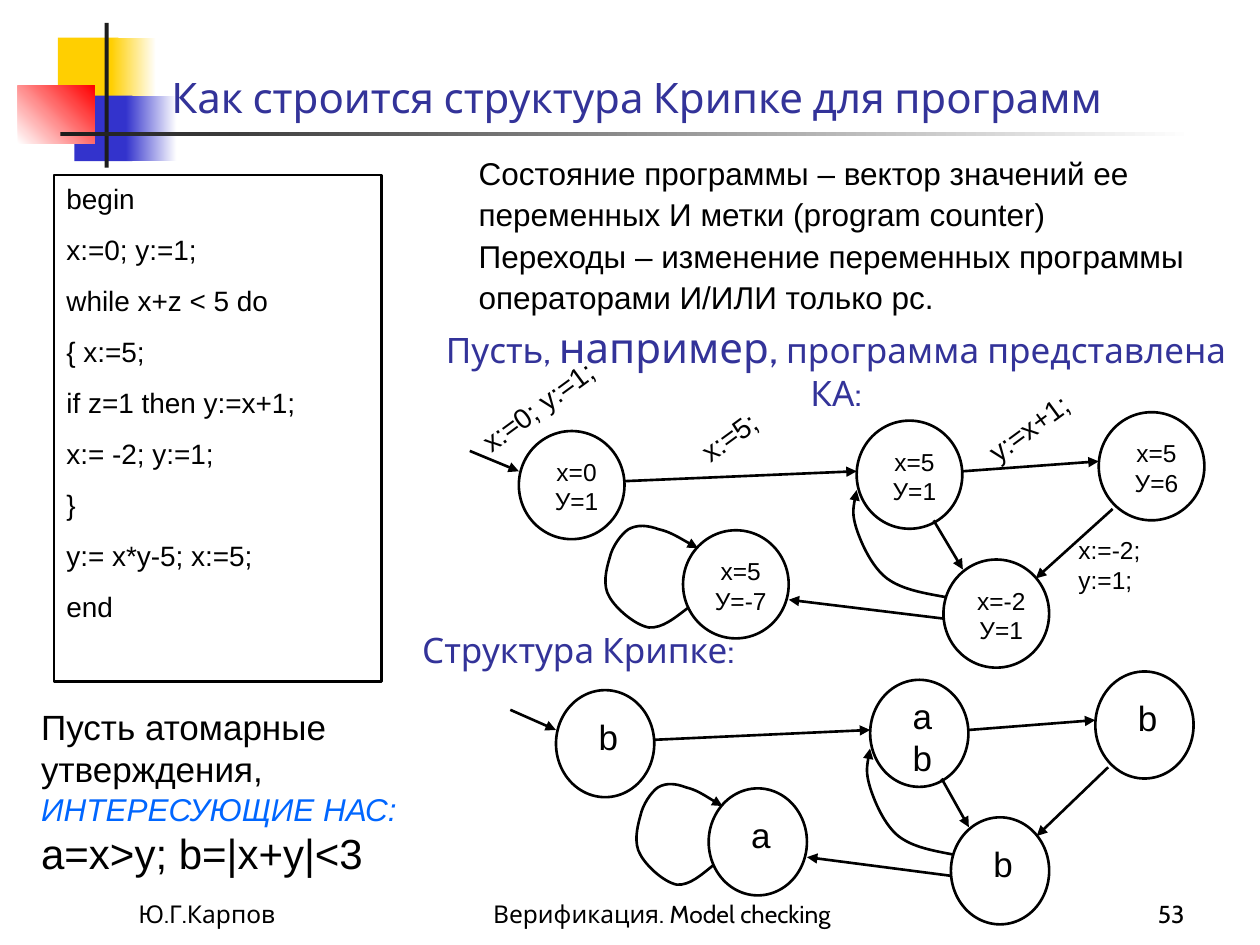
from lxml.etree import SubElement
from pptx import Presentation
from pptx.dml.color import RGBColor
from pptx.enum.shapes import MSO_CONNECTOR, MSO_SHAPE
from pptx.enum.text import MSO_ANCHOR, MSO_AUTO_SIZE, PP_ALIGN
from pptx.oxml.ns import qn
from pptx.util import Cm, Pt

BLACK, NAVY, BLUE = "000000", "333399", "0066FF"
STATE_SIZE = (2.13, 2.18)
STATES = [(10.46, 8.69), (13.77, 10.69), (19.02, 11.28), (22.15, 8.31), (17.27, 8.48)]
TRANSITIONS = [
    (12.6, 9.7, 17.27, 9.5), (19.41, 9.5, 22.15, 9.3),
    (18.82, 10.49, 19.41, 11.48), (22.43, 10.26, 20.88, 11.66),
    (19.02, 12.47, 15.9, 12.09), (9.47, 9.09, 10.46, 9.5),
]
SELF_LOOP = [
    (13.89, 12.24), (13.61, 12.45), (13.36, 12.67), (13.08, 12.65),
    (12.8, 12.6), (12.42, 12.27), (12.29, 12.04),
    (12.14, 11.81), (12.22, 11.48), (12.29, 11.25),
    (12.34, 11.02), (12.52, 10.77), (12.67, 10.67),
    (12.85, 10.57), (13.06, 10.59), (13.28, 10.67),
    (13.51, 10.72), (13.79, 10.9), (14.07, 11.05),
]
RETURN_ARC = [
    (19.08, 12.04), (18.64, 11.96), (18.19, 11.89), (17.88, 11.66),
    (17.58, 11.43), (17.37, 10.97), (17.27, 10.67),
    (17.17, 10.36), (17.22, 10.11), (17.27, 9.88),
]


def color(code):
    return RGBColor.from_string(code)


class Deck:
    font, accent_font, stroke = "Arial", "Cabin", Pt(1.5)

    def __init__(self):
        self.presentation = Presentation()
        self.presentation.slide_width, self.presentation.slide_height = Cm(25.4), Cm(19.05)
        self.slide = self.presentation.slides.add_slide(self.presentation.slide_layouts[5])
        self.shapes = self.slide.shapes

    def begin_group(self):
        self.shapes = self.slide.shapes.add_group_shape().shapes

    def end_group(self):
        self.shapes = self.slide.shapes

    def set_text(self, holder, paragraphs, size, ink=BLACK, font=None, align=PP_ALIGN.LEFT,
                 anchor=MSO_ANCHOR.TOP, wrap=True, before=0, spacing=None):
        frame = holder.text_frame
        frame.word_wrap, frame.auto_size = wrap, MSO_AUTO_SIZE.NONE
        frame.vertical_anchor = anchor
        for index, content in enumerate(paragraphs):
            paragraph = frame.add_paragraph() if index else frame.paragraphs[0]
            paragraph.alignment = align
            if index:
                paragraph.space_before = Pt(before)
            if spacing:
                paragraph.line_spacing = spacing
            paragraph.font.name = font or self.font
            if isinstance(content, str):
                paragraph.text = content
                paragraph.font.size = Pt(size)
                paragraph.font.color.rgb = color(ink)
            else:
                self.set_runs(paragraph, content)

    def set_runs(self, paragraph, pieces):
        for words, size, ink, italic in pieces:
            if words == "\n":
                paragraph.add_line_break()
                continue
            run = paragraph.add_run()
            run.text = words
            run.font.size, run.font.italic = Pt(size), italic
            run.font.color.rgb = color(ink)

    def title(self, box, words, size):
        heading = self.slide.shapes.title
        heading.left, heading.top, heading.width, heading.height = map(Cm, box)
        self.set_text(heading, [words], size, NAVY, self.accent_font, anchor=MSO_ANCHOR.BOTTOM)
        heading.element.getparent().append(heading.element)

    def text(self, box, paragraphs, size, rotation=0, **style):
        label = self.shapes.add_textbox(*map(Cm, box))
        label.rotation = rotation
        self.set_text(label, paragraphs, size, **style)

    def block(self, box, start, end=None, angle=0):
        block = self.shapes.add_shape(MSO_SHAPE.RECTANGLE, *map(Cm, box))
        block.shadow.inherit = False
        block.line.fill.background()
        if end:
            block.fill.gradient()
            block.fill.gradient_angle = angle
            for stop, code in zip(block.fill.gradient_stops, (start, end)):
                stop.color.rgb = color(code)
        else:
            block.fill.solid()
            block.fill.fore_color.rgb = color(start)

    def outline(self, preset, box):
        outline = self.shapes.add_shape(preset, *map(Cm, box))
        outline.shadow.inherit = False
        outline.fill.background()
        self.draw_line(outline)
        return outline

    def draw_line(self, drawn, arrow=False):
        drawn.line.color.rgb = color(BLACK)
        drawn.line.width = self.stroke
        if arrow:
            SubElement(drawn.element.spPr.find(qn("a:ln")), qn("a:tailEnd"), type="triangle")

    def arrow(self, start, end):
        arrow = self.shapes.add_connector(MSO_CONNECTOR.STRAIGHT, *map(Cm, (*start, *end)))
        self.draw_line(arrow, True)
        SubElement(arrow.element.spPr, qn("a:effectLst"))

    def curve(self, points):
        start, *rest = [(Cm(x), Cm(y)) for x, y in points]
        builder = self.shapes.build_freeform(*start)
        builder.add_line_segments(rest, close=False)
        curve = builder.convert_to_shape()
        curve.shadow.inherit = False
        curve.fill.background()
        self.draw_line(curve, True)
        outline = next(curve.element.iter(qn("a:path")))
        steps = outline.findall(qn("a:lnTo"))
        for first in range(0, len(steps), 3):
            bezier = SubElement(outline, qn("a:cubicBezTo"))
            for step in steps[first:first + 3]:
                bezier.append(step[0])
                outline.remove(step)

    def graph(self, labels, size, label_box, scale=(1, 1), shift=(0, 0)):
        def place(x, y):
            return x * scale[0] + shift[0], y * scale[1] + shift[1]

        width, height = STATE_SIZE[0] * scale[0], STATE_SIZE[1] * scale[1]
        dx, dy, label_width, label_height = label_box
        for corner, label in zip(STATES, labels):
            left, top = place(*corner)
            self.outline(MSO_SHAPE.OVAL, (left, top, width, height))
            rise = 0.2 if label == "a\nb" else 0
            self.text((left + dx, top + dy - rise, label_width, label_height), [label], size,
                      align=PP_ALIGN.CENTER, wrap=False)
        for x1, y1, x2, y2 in TRANSITIONS:
            self.arrow(place(x1, y1), place(x2, y2))
        for points in (SELF_LOOP, RETURN_ARC):
            self.curve([place(*point) for point in points])


def main():
    deck = Deck()
    deck.block((1.17, 0.76, 1.22, 1.32), "FFCF01")
    deck.block((2.24, 0.76, 0.91, 1.32), "FFCF01", "FFFFFF")
    deck.block((1.5, 1.93, 1.17, 1.32), "3333CC")
    deck.block((2.54, 1.93, 1.02, 1.32), "3333CC", "FFFFFF")
    deck.block((0.36, 1.73, 1.55, 1.17), "FFFFFF", "FF0000", 45)
    deck.block((2.11, 0.46, 0.08, 2.92), "1C1C1C")
    deck.block((1.22, 2.67, 22.86, 0.08), "1C1C1C", "FFFFFF")

    for left, width, words, align in (
        (2.54, 5.28, "Ю.Г.Карпов", PP_ALIGN.LEFT),
        (9.32, 8.05, "Верификация. Model checking", PP_ALIGN.CENTER),
        (18.85, 5.28, "53", PP_ALIGN.RIGHT),
    ):
        deck.text((left, 17.58, width, 1.27), [words], 14, font=deck.accent_font,
                  align=align, anchor=MSO_ANCHOR.BOTTOM)

    deck.title((3.2, 0.56, 21.64, 2.03), "Как строится структура Крипке для программ", 24)
    deck.text((9.4, 2.9, 14.88, 3.61), [
        "Состояние программы – вектор значений ее переменных И метки (рrogram сounter)\n"
        "Переходы – изменение переменных программы операторами И/ИЛИ только рс."
    ], 18, spacing=1.1)
    deck.text((0.58, 14.1, 10.39, 3.73), [[
        ("Пусть атомарные утверждения, ", 20, BLACK, False),
        ("ИНТЕРЕСУЮЩИЕ НАС:", 18, BLUE, True),
        ("\n", 18, BLUE, True),
        ("а=х>y; b=|x+y|<3", 24, BLACK, False),
    ]], 20)

    program = deck.outline(MSO_SHAPE.RECTANGLE, (1.09, 3.53, 6.6, 10.21))
    deck.set_text(program, [
        "begin", "х:=0; у:=1;", "while x+z < 5 do", "{ x:=5;", "if z=1 then y:=x+1;",
        "x:= -2; y:=1;", "}", "y:= x*y-5; x:=5;", "end",
    ], 16, before=10)

    deck.begin_group()
    deck.graph(["х=0\nУ=1", "х=5\nУ=-7", "х=-2\nУ=1", "х=5\nУ=6", "х=5\nУ=1"], 14,
               (0.38, 0.4, 1.57, 1.45))
    for left, top, width, action in (
        (9.27, 7.7, 3.2, "х:=0; у:=1;"),
        (13.82, 8.31, 1.82, "х:=5;"),
        (19.48, 7.9, 3.2, "y:=x+1;"),
    ):
        deck.text((left, top, width, 0.94), [action], 16, rotation=323.8)
    deck.text((21.49, 10.67, 1.82, 1.45), ["х:=-2; у:=1;"], 14)
    deck.end_group()

    deck.text((8.31, 6.35, 17.09, 2.13), [[
        ("Пусть, ", 20, NAVY, False),
        ("например,", 24, NAVY, False),
        (" программа представлена КА:", 20, NAVY, False),
    ]], 20, font=deck.accent_font, align=PP_ALIGN.CENTER)

    deck.begin_group()
    deck.graph(["b", "a", "b", "b", "a\nb"], 20, (0.33, 0.38, 1.45, 1.12),
               scale=(0.93, 0.99), shift=(1.48, 5.31))
    deck.text((8.26, 12.55, 17.09, 1.12), ["Структура Крипке:"], 20, ink=NAVY,
              font=deck.accent_font)
    deck.end_group()
    deck.presentation.save("out.pptx")


if __name__ == "__main__":
    main()
